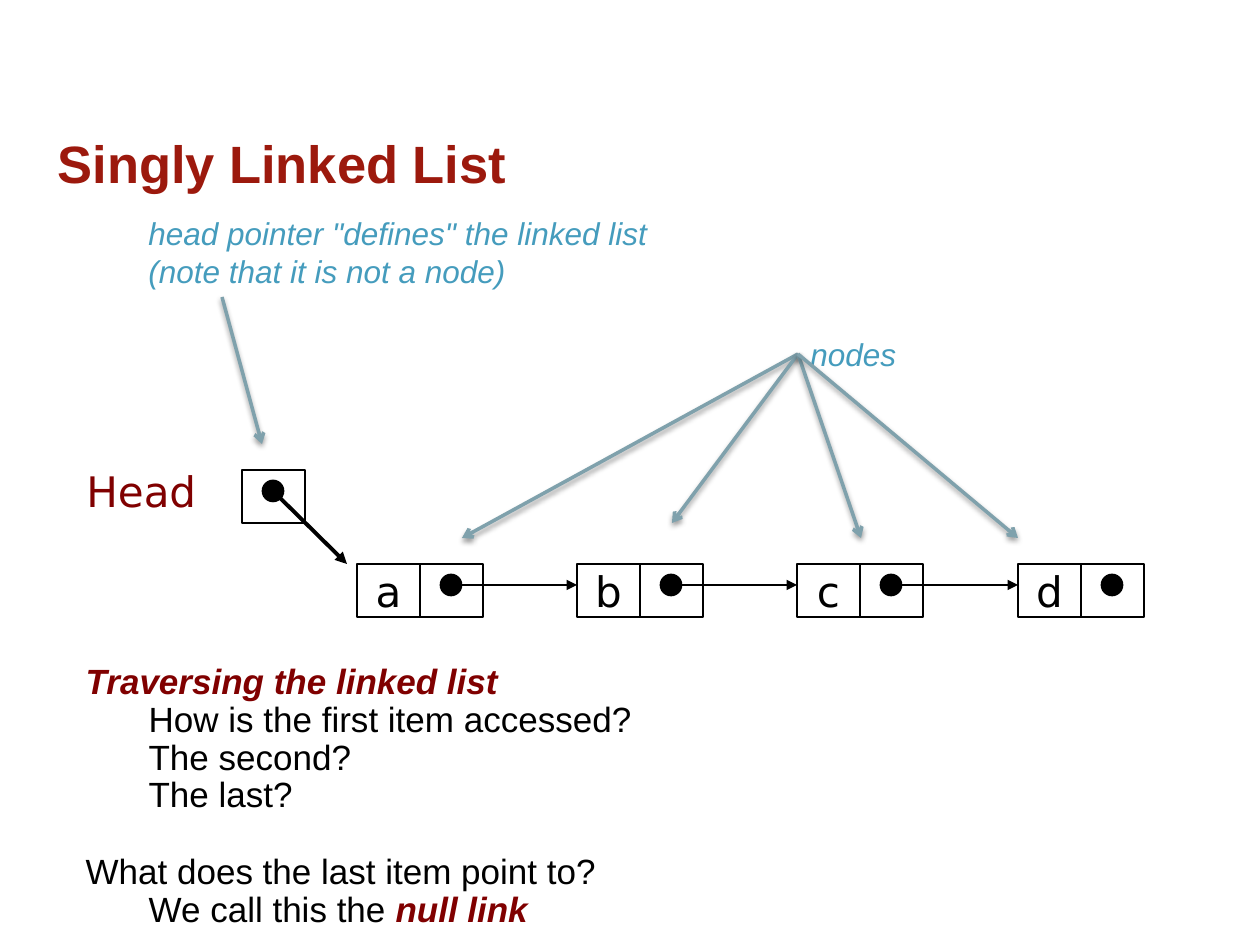
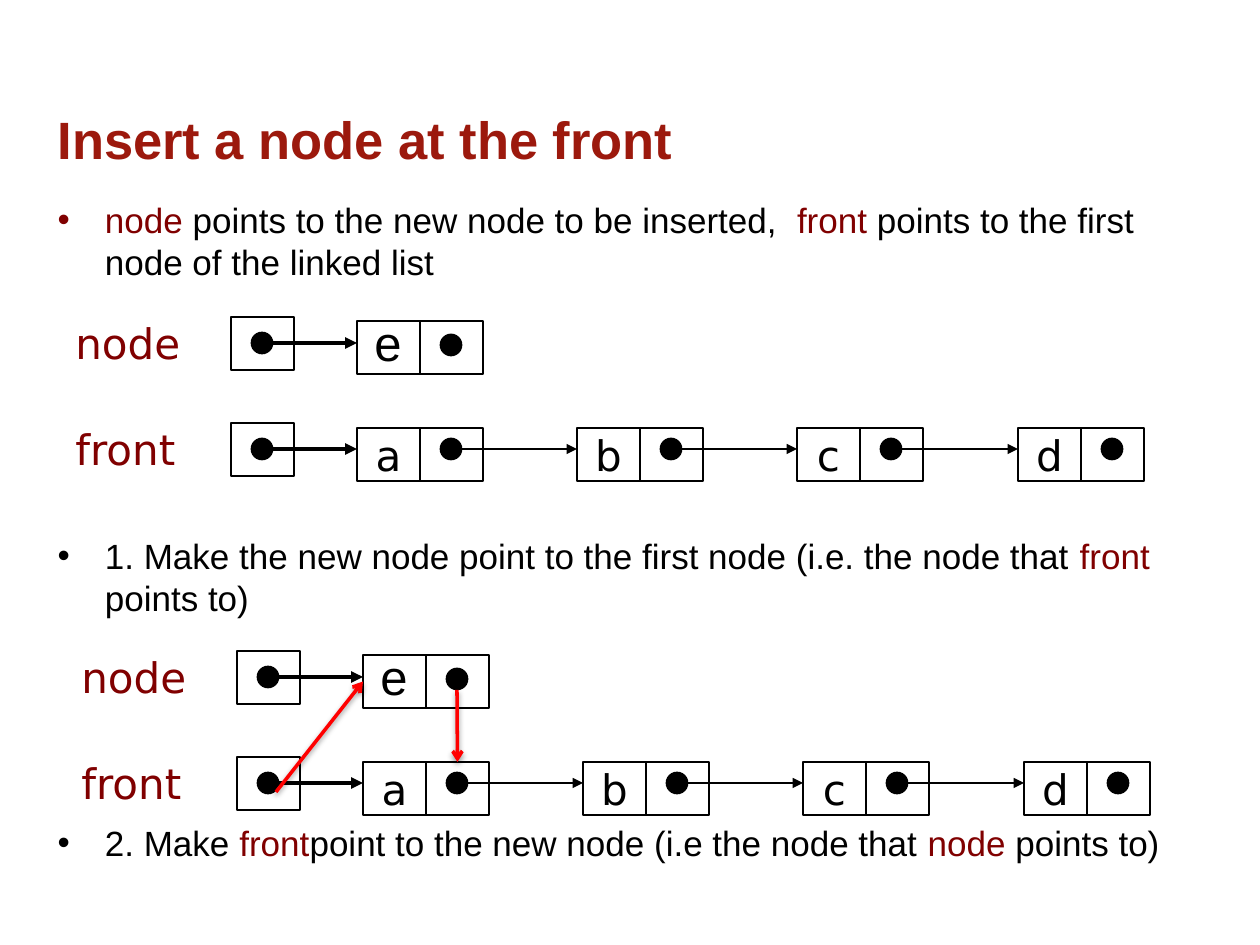
import pptx
import pptx.dml.color
import pptx.enum.shapes
import pptx.enum.text
import pptx.oxml
import pptx.oxml.ns
import pptx.util

TITLE_RED, DARK_RED, RED = "9C190D", "800000", "FF0000"
BLACK, NOTE_BLUE, CALLOUT_BLUE = "000000", "459CBD", "7FA1AC"
SANS, LABEL_FONT = "Arial", "DejaVu Sans"

CELL_WIDTH, CELL_HEIGHT, DOT = 63, 53, 21
CHAIN_SPAN = 661
LETTERS = ["a", "b", "c", "d"]

TRAVERSAL = {
    "title": "Singly Linked List",
    "title_top": 125,
    "body_box": (73, 658, 1142, 281),
    "body": [
        ("*Traversing the linked list*", 0, 0),
        ("How is the first item accessed?", 63, 0),
        ("The second?", 63, 0),
        ("The last?", 63, 0),
        ("What does the last item point to?", 0, 22),
        ("We call this the *null link*", 63, 0),
    ],
}
NOTES = [
    (["head pointer \"defines\" the linked list", "(note that it is not a node)"], (136, 208, 630, 89)),
    (["nodes"], (798, 329, 328, 50)),
]
CALLOUTS = [((222, 297), [(262, 444)]), ((798, 354), [(462, 538), (672, 523), (861, 538), (1018, 538)])]

INSERTION = {
    "title": "Insert a node at the front",
    "title_top": 101,
    "body_box": (45, 192, 1169, 103),
    "body": [
        ("*node *points to the new node to be inserted,  *front *points to the first node of the linked list", None, 0),
        ("1. Make the new node point to the first node (i.e. the node that *front *points to)", None, 144),
        ("2. Make *front*point to the new node (i.e the node that *node *points to)", None, 116),
    ],
}


def px(length):
    return pptx.util.Emu(round(length * 914400 / 126))


def rgb(value):
    return pptx.dml.color.RGBColor.from_string(value)


def format_font(font, size, colour, name=SANS, bold=False, italic=False):
    font.size = pptx.util.Pt(size)
    font.name = name
    font.color.rgb = rgb(colour)
    font.bold = bold
    font.italic = italic


def place(shape, box):
    shape.left, shape.top, shape.width, shape.height = map(px, box)
    shape.text_frame.auto_size = pptx.enum.text.MSO_AUTO_SIZE.NONE
    shape.text_frame.vertical_anchor = pptx.enum.text.MSO_ANCHOR.TOP


def add_element(parent, tag, **attributes):
    element = parent.makeelement(pptx.oxml.ns.qn(tag), attributes)
    parent.append(element)
    return element


def add_title(slide, text, top):
    title = slide.shapes.title
    place(title, (45, top, 1169, 91))
    title.text_frame.text = text
    paragraph = title.text_frame.paragraphs[0]
    paragraph.alignment = pptx.enum.text.PP_ALIGN.LEFT
    format_font(paragraph.runs[0].font, 30, TITLE_RED, bold=True)


def add_body(slide, box, items, strong):
    body = slide.placeholders[1]
    place(body, box)
    for index, (text, indent, space_before) in enumerate(items):
        frame = body.text_frame
        paragraph = frame.paragraphs[0] if index == 0 else frame.add_paragraph()
        if indent is not None:
            properties = paragraph._p.get_or_add_pPr()
            properties.set("marL", str(px(indent)))
            properties.set("indent", "0")
            add_element(properties, "a:buNone")
            paragraph.line_spacing = 0.9
        paragraph.space_before = pptx.util.Pt(space_before)
        for position, piece in enumerate(text.split("*")):
            if piece:
                accent = position % 2 == 1
                run = paragraph.add_run()
                run.text = piece
                format_font(run.font, 20, DARK_RED if accent else BLACK,
                            bold=accent and strong, italic=accent and strong)


def add_slide(presentation, content, strong):
    slide = presentation.slides.add_slide(presentation.slide_layouts[1])
    add_title(slide, content["title"], content["title_top"])
    add_body(slide, content["body_box"], content["body"], strong)
    return slide


def add_text(slide, lines, box, size, colour, font=SANS, italic=False, wrap=True):
    text_box = slide.shapes.add_textbox(*map(px, box))
    text_box.text_frame.word_wrap = wrap
    text_box.text_frame.text = "\n".join(lines)
    for paragraph in text_box.text_frame.paragraphs:
        format_font(paragraph.runs[0].font, size, colour, font, italic=italic)


def add_outlined(slide, kind, box):
    shape = slide.shapes.add_shape(kind, *map(px, box))
    shape.shadow.inherit = False
    shape.line.color.rgb = rgb(BLACK)
    shape.line.width = pptx.util.Pt(1)
    return shape


def add_cell(slide, left, top, letter=""):
    cell = add_outlined(slide, pptx.enum.shapes.MSO_SHAPE.RECTANGLE, (left, top, CELL_WIDTH, CELL_HEIGHT))
    cell.fill.background()
    if letter:
        frame = cell.text_frame
        frame.word_wrap = False
        frame.vertical_anchor = pptx.enum.text.MSO_ANCHOR.MIDDLE
        frame.text = letter
        frame.paragraphs[0].alignment = pptx.enum.text.PP_ALIGN.CENTER
        format_font(frame.paragraphs[0].runs[0].font, 24, BLACK, LABEL_FONT)
    return cell


def add_dot(slide, centre_x, centre_y):
    dot = add_outlined(slide, pptx.enum.shapes.MSO_SHAPE.OVAL,
                       (centre_x - DOT / 2, centre_y - DOT / 2, DOT, DOT))
    dot.fill.solid()
    dot.fill.fore_color.rgb = rgb(BLACK)


def add_arrow(slide, start, end, colour=BLACK, width=1, head="triangle", shadow=False):
    arrow = slide.shapes.add_connector(pptx.enum.shapes.MSO_CONNECTOR.STRAIGHT, *map(px, start + end))
    arrow.line.color.rgb = rgb(colour)
    arrow.line.width = pptx.util.Pt(width)
    properties = arrow._element.spPr
    add_element(properties.find(pptx.oxml.ns.qn("a:ln")), "a:tailEnd", type=head)
    effects = add_element(properties, "a:effectLst")
    if shadow:
        outer = add_element(effects, "a:outerShdw", blurRad="40000", dist="20000", dir="5400000", rotWithShape="0")
        add_element(add_element(outer, "a:srgbClr", val=BLACK), "a:alpha", val="38000")
    return arrow


def add_callout(slide, start, end, colour):
    return add_arrow(slide, start, end, colour, 2, "arrow", True)


def add_chain(slide, left, top):
    lefts = [left + CHAIN_SPAN * index // (len(LETTERS) - 1) for index in range(len(LETTERS))]
    link_y = top + 21
    pointer_cells = []
    for index, (letter, node_left) in enumerate(zip(LETTERS, lefts)):
        add_cell(slide, node_left, top, letter)
        pointer_cells.append(add_cell(slide, node_left + CELL_WIDTH, top))
        link_x = node_left + 94
        add_dot(slide, link_x, link_y)
        if index + 1 < len(lefts):
            add_arrow(slide, (link_x, link_y), (lefts[index + 1], link_y))
    return pointer_cells[0]


def add_pointer(slide, label, left, top, dot_y, target):
    add_text(slide, [label], (left - 168, dot_y - 32, 179, 63), 24, DARK_RED, LABEL_FONT)
    add_cell(slide, left, top)
    add_dot(slide, left + 31, dot_y)
    add_arrow(slide, (left + 31, dot_y), target, width=2.25)


def add_insertion_diagram(slide, left, top):
    chain_left = left + 126
    add_pointer(slide, "node", left, top, top + 26, (chain_left, top + 26))
    letter_cell = add_cell(slide, chain_left, top + 4)
    add_cell(slide, chain_left + CELL_WIDTH, top + 4)
    add_text(slide, ["e"], (chain_left + 5, top - 11, 53, 72), 28, BLACK, wrap=False)
    add_dot(slide, chain_left + 94, top + 28)
    add_pointer(slide, "front", left, top + 106, top + 132, (chain_left, top + 132))
    first_pointer_cell = add_chain(slide, chain_left, top + 111)
    return letter_cell, first_pointer_cell


def build_traversal(presentation):
    slide = add_slide(presentation, TRAVERSAL, True)
    add_chain(slide, 357, 564)
    add_pointer(slide, "Head", 242, 470, 491, (347, 564))
    for lines, box in NOTES:
        add_text(slide, lines, box, 18, NOTE_BLUE, italic=True)
    for start, ends in CALLOUTS:
        for end in ends:
            add_callout(slide, start, end, CALLOUT_BLUE)


def build_insertion(presentation):
    slide = add_slide(presentation, INSERTION, False)
    add_insertion_diagram(slide, 231, 317)
    letter_cell, first_pointer_cell = add_insertion_diagram(slide, 237, 651)
    new_link = add_callout(slide, (457, 690), (457, 762), RED)
    new_link.end_connect(first_pointer_cell, 0)
    front_link = add_callout(slide, (276, 792), (363, 682), RED)
    front_link.end_connect(letter_cell, 1)


def main():
    presentation = pptx.Presentation()
    presentation.slide_width, presentation.slide_height = px(1260), px(945)
    build_traversal(presentation)
    build_insertion(presentation)
    presentation.save("out.pptx")


if __name__ == "__main__":
    main()
